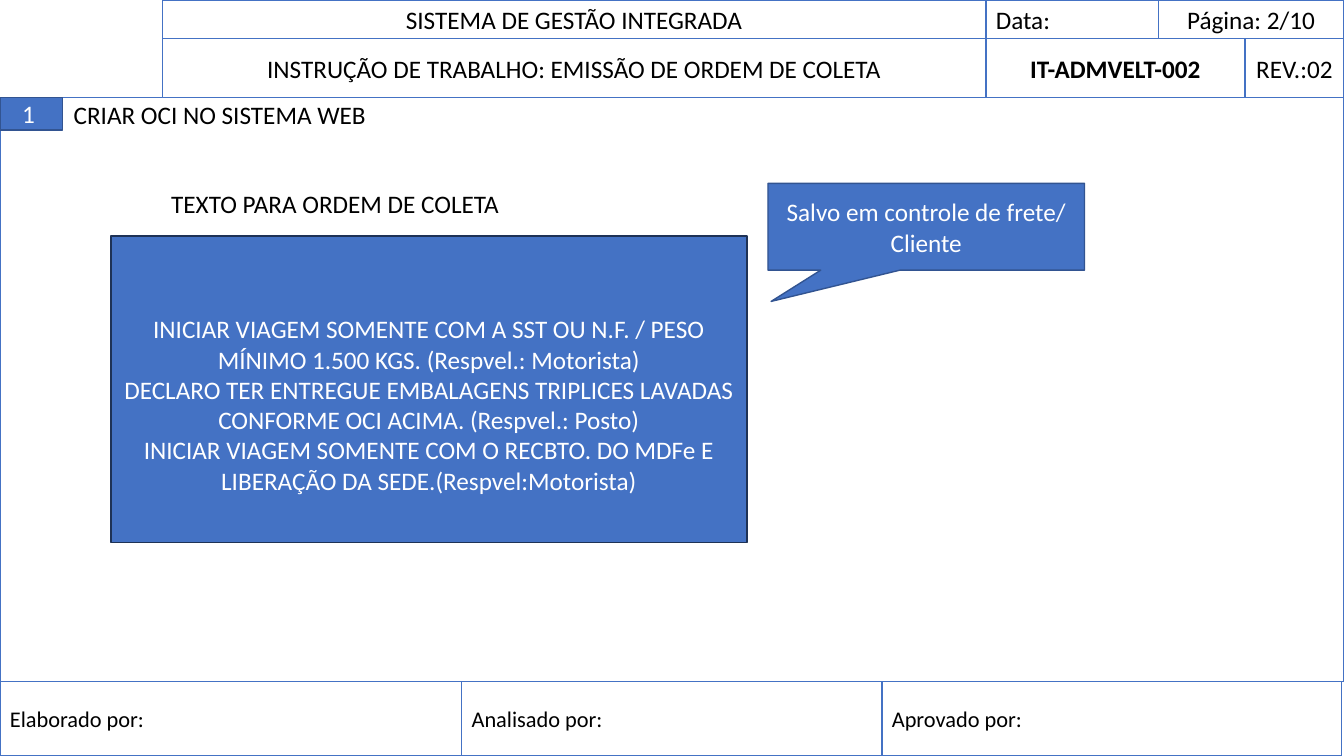
from pptx import Presentation
from pptx.dml.color import RGBColor
from pptx.enum.shapes import MSO_SHAPE
from pptx.enum.text import MSO_ANCHOR, MSO_AUTO_SIZE, PP_ALIGN
from pptx.util import Pt

RECT, CALLOUT = MSO_SHAPE.RECTANGLE, MSO_SHAPE.RECTANGULAR_CALLOUT
LEFT, CENTER = PP_ALIGN.LEFT, PP_ALIGN.CENTER
TOP, MIDDLE = MSO_ANCHOR.TOP, MSO_ANCHOR.MIDDLE
NO_FIT = MSO_AUTO_SIZE.NONE

WHITE = RGBColor(0xFF, 0xFF, 0xFF)
BLACK = RGBColor(0x00, 0x00, 0x00)
BLUE = RGBColor(0x44, 0x72, 0xC4)
EDGE = RGBColor(0x32, 0x54, 0x91)
DARK_EDGE = RGBColor(0x1E, 0x32, 0x56)

FONT = "Calibri"
PAGE_W, PAGE_H = 960, 540
HEADER_MID, HEADER_BOTTOM = 27.4, 69.8
FOOTER_TOP = 486.7
LOGO_RIGHT, CODE_LEFT, PAGE_LEFT, REV_LEFT = 115.9, 704.2, 827.3, 889.2
FOOTER_EDGES = [0, 329.8, 630, 958.3]

# left, top, right, bottom, text, alignment, bold
HEADER = [
    (LOGO_RIGHT, 0, CODE_LEFT, HEADER_MID,
     "SISTEMA DE GESTÃO INTEGRADA", CENTER, False),
    (LOGO_RIGHT, HEADER_MID, CODE_LEFT, HEADER_BOTTOM,
     "INSTRUÇÃO DE TRABALHO: EMISSÃO DE ORDEM DE COLETA", CENTER, False),
    (CODE_LEFT, HEADER_MID, REV_LEFT, HEADER_BOTTOM,
     "IT-ADMVELT-002", CENTER, True),
    (CODE_LEFT, 0, PAGE_LEFT, HEADER_MID, "Data:", LEFT, False),
    (PAGE_LEFT, 0, PAGE_W, HEADER_MID, "Página: 2/10", CENTER, False),
    (REV_LEFT, HEADER_MID, PAGE_W, HEADER_BOTTOM, "REV.:02", CENTER, False),
]
FOOTER = ["Elaborado por:", "Analisado por:", "Aprovado por:"]
ORDER_TEXT = [
    "INICIAR VIAGEM SOMENTE COM A SST OU N.F. / PESO MÍNIMO 1.500 KGS. "
    "(Respvel.: Motorista)",
    "DECLARO TER ENTREGUE EMBALAGENS TRIPLICES LAVADAS CONFORME OCI ACIMA. "
    "(Respvel.: Posto)",
    "INICIAR VIAGEM SOMENTE COM O RECBTO. DO MDFe E LIBERAÇÃO DA "
    "SEDE.(Respvel:Motorista)",
]


def write(tf, lines, color, size=18, align=CENTER, bold=False, anchor=MIDDLE):
    tf.word_wrap = True
    tf.auto_size = NO_FIT
    tf.vertical_anchor = anchor
    tf.text = "\n".join(lines)
    for p in tf.paragraphs:
        p.alignment = align
        p.font.name = FONT
        p.font.size = Pt(size)
        p.font.bold = bold
        p.font.color.rgb = color


def add_box(slide, left, top, right, bottom, fill, line, kind=RECT):
    sp = slide.shapes.add_shape(
        kind, Pt(left), Pt(top), Pt(right - left), Pt(bottom - top))
    sp.shadow.inherit = False
    sp.fill.solid()
    sp.fill.fore_color.rgb = fill
    sp.line.color.rgb = line
    sp.line.width = Pt(1)
    return sp


def add_cell(slide, left, top, right, bottom, text, align, bold=False, size=18):
    """Add a white form cell with black text."""
    sp = add_box(slide, left, top, right, bottom, WHITE, BLUE)
    write(sp.text_frame, [text], BLACK, size, align, bold)


def place_title(slide, left, top, width, height, text):
    title = slide.shapes.title
    title.left, title.top = Pt(left), Pt(top)
    title.width, title.height = Pt(width), Pt(height)
    write(title.text_frame, [text], BLACK, align=LEFT, anchor=TOP)
    p = title.text_frame.paragraphs[0]
    p.line_spacing = 1.0
    p.space_before = Pt(0)
    # The title comes first in the layout; bring it in front of the frame.
    slide.shapes.element.append(title.element)


def main():
    prs = Presentation()
    prs.slide_width, prs.slide_height = Pt(PAGE_W), Pt(PAGE_H)
    slide = prs.slides.add_slide(prs.slide_layouts[5])

    add_box(slide, 0, HEADER_BOTTOM, PAGE_W, FOOTER_TOP, WHITE, BLUE)
    for cell in HEADER:
        add_cell(slide, *cell)
    for left, right, text in zip(FOOTER_EDGES, FOOTER_EDGES[1:], FOOTER):
        add_cell(slide, left, FOOTER_TOP, right, PAGE_H, text, LEFT, size=16)

    step = add_box(slide, 0, HEADER_BOTTOM, 44.6, 93, BLUE, EDGE)
    write(step.text_frame, ["1"], WHITE)
    step.text_frame.margin_right = Pt(11)

    heading = slide.shapes.add_textbox(Pt(115.2), Pt(131), Pt(365), Pt(29))
    write(heading.text_frame, ["TEXTO PARA ORDEM DE COLETA"], BLACK,
          align=LEFT, anchor=TOP)

    callout = add_box(slide, 548.6, 131, 774.7, 193, BLUE, EDGE, CALLOUT)
    callout.adjustments[0] = -0.49
    callout.adjustments[1] = 0.86
    write(callout.text_frame, ["Salvo em controle de frete/ Cliente"], WHITE)

    order = add_box(slide, 79.2, 168.5, 533.5, 387.4, BLUE, DARK_EDGE)
    write(order.text_frame, ORDER_TEXT, WHITE)
    order.text_frame.margin_top = Pt(25.6)

    place_title(slide, 45.4, 67, 365, 29, "CRIAR OCI NO SISTEMA WEB")
    prs.save("out.pptx")


if __name__ == "__main__":
    main()
